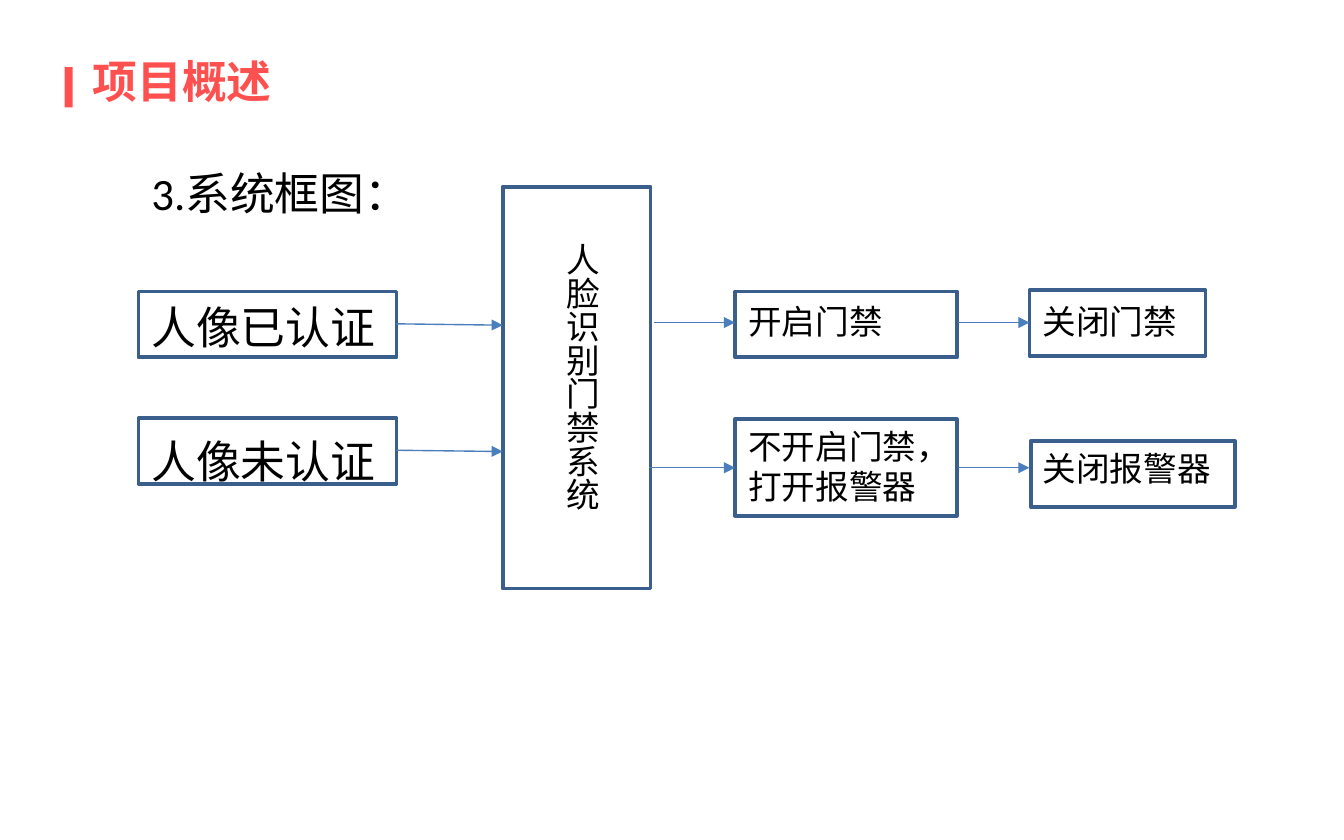
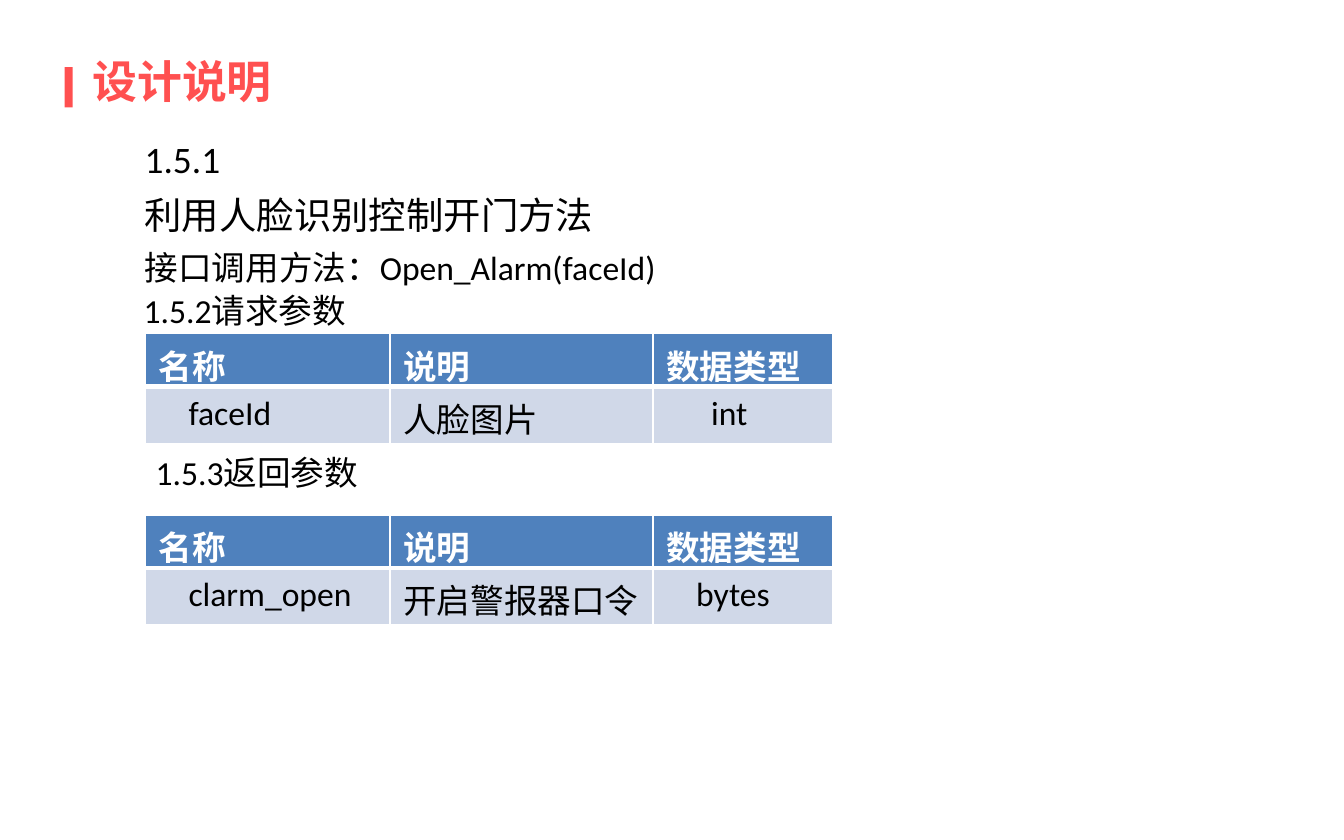
from pptx import Presentation
from pptx.dml.color import RGBColor
from pptx.enum.shapes import MSO_CONNECTOR, MSO_SHAPE
from pptx.enum.text import MSO_ANCHOR, MSO_AUTO_SIZE
from pptx.oxml.ns import qn
from pptx.util import Pt
from lxml import etree

RECTANGLE = MSO_SHAPE.RECTANGLE
STRAIGHT = MSO_CONNECTOR.STRAIGHT
MIDDLE = MSO_ANCHOR.MIDDLE
TOP = MSO_ANCHOR.TOP
GROW = MSO_AUTO_SIZE.SHAPE_TO_FIT_TEXT
NO_FIT = MSO_AUTO_SIZE.NONE

RED = RGBColor(0xFF, 0x50, 0x50)
BLACK = RGBColor(0, 0, 0)
WHITE = RGBColor(0xFF, 0xFF, 0xFF)
BOX_BLUE = RGBColor(0x3A, 0x5F, 0x8C)
ARROW_BLUE = RGBColor(0x4B, 0x7E, 0xBC)
HEADER_BLUE = RGBColor(0x4F, 0x81, 0xBD)
ROW_BLUE = RGBColor(0xD0, 0xD8, 0xE8)

LATIN = "Calibri"
CHINESE = "Noto Sans CJK SC"

TITLE_FONT = {"name": CHINESE, "size": Pt(24), "bold": True}
HEADING_FONT = {"name": LATIN, "size": Pt(24)}
BODY_FONT = {"name": LATIN, "size": Pt(20)}
LABEL_FONT = {"name": LATIN, "size": Pt(18)}
HEADER_FONT = {**LABEL_FONT, "bold": True}
CELL_FONT = {**LABEL_FONT, "bold": False}

BODY_INDENT = Pt(31.5)
CELL_MARGIN = 7.2
TABLE_LEFT = 77.8
COLUMN_WIDTHS = (131, 141, 96.5)
ROW_HEIGHTS = (28.5, 30.5)
TABLE_HEADER = ("名称", "说明", "数据类型")


def set_values(target, values):
    for name, value in values.items():
        setattr(target, name, value)


def write(paragraph, text, font, color=BLACK, chinese=LATIN):
    run = paragraph.add_run()
    run.text = text
    set_values(run.font, font)
    run.font.color.rgb = color
    properties = run._r.get_or_add_rPr()
    etree.SubElement(properties, qn("a:ea")).set("typeface", chinese)


def add_text_box(slide, position, anchor=TOP, auto_size=GROW):
    shape = slide.shapes.add_textbox(*map(Pt, position))
    set_values(shape.text_frame, {
        "word_wrap": True, "auto_size": auto_size, "vertical_anchor": anchor,
    })
    return shape.text_frame


def add_label(slide, position, text):
    frame = add_text_box(slide, position)
    write(frame.paragraphs[0], text, LABEL_FONT)
    return frame


def add_vertical_label(slide, position, text):
    frame = add_label(slide, position, text)
    frame._txBody.bodyPr.set("vert", "eaVert")


def add_body(slide, position, lines, gap=0):
    frame = add_text_box(slide, position)
    for index, (text, font) in enumerate(lines):
        paragraph = frame.add_paragraph() if index else frame.paragraphs[0]
        set_values(paragraph, {
            "line_spacing": 1.25, "space_before": Pt(gap if index else 0),
        })
        paragraph._p.get_or_add_pPr().set("marL", str(BODY_INDENT))
        write(paragraph, text, font)


def add_rectangle(slide, position):
    shape = slide.shapes.add_shape(RECTANGLE, *map(Pt, position))
    shape.shadow.inherit = False
    return shape


def add_outline(slide, position):
    shape = add_rectangle(slide, position)
    shape.fill.background()
    shape.line.color.rgb = BOX_BLUE
    shape.line.width = Pt(2)


def add_arrow(slide, start, end):
    connector = slide.shapes.add_connector(STRAIGHT, *map(Pt, start + end))
    connector.line.color.rgb = ARROW_BLUE
    connector.line.width = Pt(0.75)
    line = connector.line._get_or_add_ln()
    etree.SubElement(line, qn("a:tailEnd")).set("type", "triangle")
    etree.SubElement(connector._element.spPr, qn("a:effectLst"))


def add_border(properties, side, width):
    line = etree.SubElement(properties, qn("a:" + side), w=str(Pt(width)))
    fill = etree.SubElement(line, qn("a:solidFill"))
    etree.SubElement(fill, qn("a:srgbClr")).set("val", str(WHITE))


def fill_cell(cell, text, is_header, indent):
    properties = cell._tc.get_or_add_tcPr()
    for side in ("lnL", "lnR", "lnT", "lnB"):
        is_thick = side == ("lnB" if is_header else "lnT")
        add_border(properties, side, 3 if is_thick else 1)
    cell.fill.solid()
    cell.fill.fore_color.rgb = HEADER_BLUE if is_header else ROW_BLUE
    set_values(cell, {
        "margin_left": Pt(CELL_MARGIN + indent), "margin_bottom": Pt(0),
    })
    font, color = (HEADER_FONT, WHITE) if is_header else (CELL_FONT, BLACK)
    write(cell.text_frame.paragraphs[0], text, font, color, CHINESE)


def add_parameter_table(slide, top, values, indents):
    position = (TABLE_LEFT, top, sum(COLUMN_WIDTHS), sum(ROW_HEIGHTS))
    table = slide.shapes.add_table(
        len(ROW_HEIGHTS), len(COLUMN_WIDTHS), *map(Pt, position)).table
    for column, width in zip(table.columns, COLUMN_WIDTHS):
        column.width = Pt(width)
    for row, height in zip(table.rows, ROW_HEIGHTS):
        row.height = Pt(height)
    for index, (heading, value) in enumerate(zip(TABLE_HEADER, values)):
        fill_cell(table.cell(0, index), heading, True, 0)
        fill_cell(table.cell(1, index), value, False, indents[index])


def add_titled_slide(presentation, title):
    slide = presentation.slides.add_slide(presentation.slide_layouts[6])
    frame = add_text_box(slide, (42.5, 26.6, 487.5, 33.1), MIDDLE, NO_FIT)
    write(frame.paragraphs[0], title, TITLE_FONT, RED, CHINESE)
    marker = add_rectangle(slide, (34.6, 36, 4.3, 21.6))
    marker.fill.solid()
    marker.fill.fore_color.rgb = RED
    marker.line.fill.background()
    return slide


def add_system_diagram(presentation):
    slide = add_titled_slide(presentation, "项目概述")
    lines = ("3.系统框图：", "人像已认证", "人像未认证")
    add_body(slide, (42.5, 77.8, 572.5, 295),
             [(line, HEADING_FONT) for line in lines], gap=36)

    outlines = (
        (269.3, 100, 79.2, 215.3),
        (74.2, 156.2, 138.2, 35.3),
        (74.2, 223.9, 138.2, 35.3),
        (393.8, 156.2, 118.8, 35.3),
        (393.8, 224.6, 118.8, 51.8),
        (551.5, 155.5, 94.3, 35.3),
        (552.2, 236.2, 109.4, 35.3),
    )
    for position in outlines:
        add_outline(slide, position)

    add_vertical_label(slide, (290.2, 123.1, 36, 170), "人脸识别门禁系统")
    labels = (
        ((393.8, 157.7, 138.2, 28.8), "开启门禁"),
        ((393.8, 224.6, 118.8, 51.1), "不开启门禁，打开报警器"),
        ((551.5, 157.7, 90.7, 28.8), "关闭门禁"),
        ((551.5, 236.2, 126, 28.8), "关闭报警器"),
    )
    for position, text in labels:
        add_label(slide, position, text)

    arrows = (
        ((212.4, 173.5), (269.3, 174.2)),
        ((212.4, 241.2), (269.3, 241.9)),
        ((350.6, 172.8), (393.8, 172.8)),
        ((347.8, 250.6), (393.8, 250.6)),
        ((513.4, 172.8), (551.5, 172.8)),
        ((513.4, 250.6), (551.5, 250.6)),
    )
    for start, end in arrows:
        add_arrow(slide, start, end)


def add_interface_design(presentation):
    slide = add_titled_slide(presentation, "设计说明")
    add_body(slide, (38.9, 63.4, 526.3, 92.9), (
        ("1.5.1", BODY_FONT),
        ("利用人脸识别控制开门方法", BODY_FONT),
        ("接口调用方法：Open_Alarm(faceId)", LABEL_FONT),
    ))
    add_parameter_table(slide, 178.6, ("faceId", "人脸图片", "int"), (16, 0, 24))
    add_label(slide, (69.8, 151.9, 289.4, 28.8), "1.5.2请求参数")
    add_parameter_table(
        slide, 275.8, ("clarm_open", "开启警报器口令", "bytes"), (16, 0, 16))
    add_label(slide, (76.3, 238.3, 253.4, 28.8), "1.5.3返回参数")


def main():
    presentation = Presentation()
    set_values(presentation, {"slide_width": Pt(720), "slide_height": Pt(450)})
    add_system_diagram(presentation)
    add_interface_design(presentation)
    presentation.save("out.pptx")


if __name__ == "__main__":
    main()
